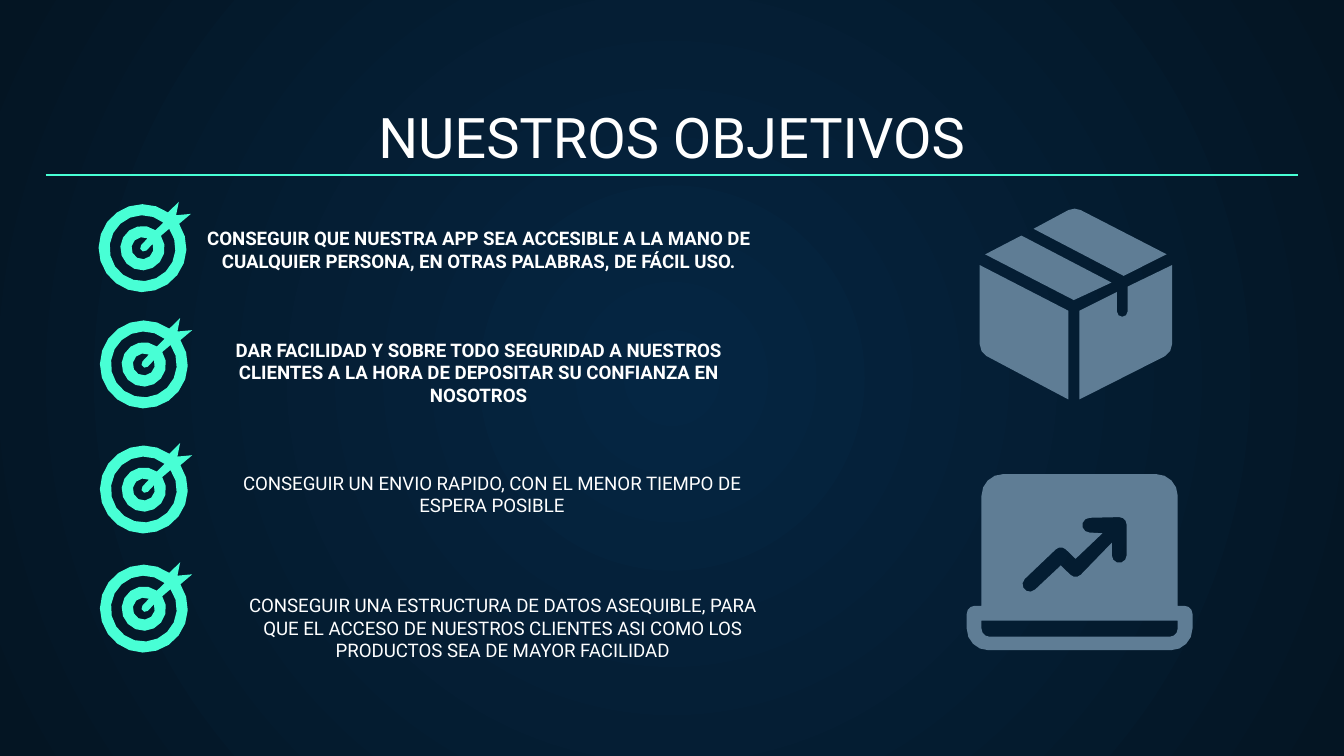
import math

import pptx
import pptx.dml.color
import pptx.enum.shapes
import pptx.enum.text
import pptx.oxml
import pptx.oxml.ns
import pptx.util

Pt = pptx.util.Pt
RGBColor = pptx.dml.color.RGBColor
Align = pptx.enum.text.PP_ALIGN
Anchor = pptx.enum.text.MSO_ANCHOR

NAVY = RGBColor(0x05, 0x26, 0x43)
MIDNIGHT = RGBColor(0x04, 0x15, 0x23)
MINT = RGBColor(0x48, 0xFF, 0xD5)
STEEL = RGBColor(0x5F, 0x7D, 0x95)
WHITE = RGBColor(0xFF, 0xFF, 0xFF)

GRID = 0.72  # points per unit of the icon outlines
FLATNESS = 0.4  # largest gap between an arc and its chords, in units
DRAWING_NS = pptx.oxml.ns.nsdecls("a")


def arc(cx, cy, radius, start, end):
    """Points along an arc; degrees run clockwise from the right."""
    widest = 2 * math.degrees(math.acos(1 - FLATNESS / radius))
    steps = math.ceil(abs(end - start) / widest)
    angles = [math.radians(start + (end - start) * i / steps) for i in range(steps + 1)]
    return [(cx + radius * math.cos(a), cy + radius * math.sin(a)) for a in angles]


# Target with a dart: outer rim, ring gap, hub
TARGET = [
    arc(33, 34.5, 32.7, -54.5, -393.6) + [(69, 9), (58, 10), (60, 0)],
    arc(33, 34.5, 24.5, -51, -396) + arc(33, 34.5, 16.5, -394, -54),
    arc(33, 34.5, 8.2, -63, -383) + arc(34, 34.2, 2.8, 45, 225),
]

# Parcel: left flap, right side, lid, left side
PARCEL = [
    [(31, 20), (6, 33), (4, 34), (70, 68), (98, 55)],
    [(143, 42), (110, 58)] + arc(106, 76.5, 4, 0, 180)
    + [(102, 62), (74, 76), (74, 142)] + arc(133, 101, 10, 60, 0),
    arc(70.5, 10, 10, -63, -117) + [(40, 15), (107, 50), (139, 34)],
    [(0, 42)] + arc(10, 101, 10, 180, 120) + [(66, 142), (66, 76)],
]

# Laptop: body, slot in the base, rising arrow
LAPTOP = [
    arc(27, 16, 16, 180, 270) + arc(141, 16, 16, 270, 360) + [(157, 98)]
    + arc(162, 104, 6, 270, 360) + arc(152, 115, 16, 0, 90)
    + arc(16, 115, 16, 90, 180) + arc(6, 104, 6, 180, 270) + [(11, 98)],
    [(11, 109), (157, 109)] + arc(151, 115, 6, 0, 90) + arc(17, 115, 6, 90, 180),
    arc(113.5, 37.5, 5.5, 270, 360) + arc(113.5, 60.5, 5.5, 0, 180) + [(108, 51)]
    + arc(81, 71, 5.5, 45, 135) + [(70, 68)] + arc(47, 82, 5.5, 45, 225)
    + arc(70, 60, 5.5, 225, 315) + [(81, 63), (101, 44)]
    + arc(91.5, 38, 5.5, 90, 270),
]

# Each goal: text, bold, text position, icon position
GOALS = [
    ("CONSEGUIR QUE NUESTRA APP SEA ACCESIBLE A LA MANO DE CUALQUIER PERSONA, "
     "EN OTRAS PALABRAS, DE FÁCIL USO.", True, (103.7, 114.5), (52.6, 108.1)),
    ("DAR FACILIDAD Y SOBRE TODO SEGURIDAD A NUESTROS CLIENTES A LA HORA DE "
     "DEPOSITAR SU CONFIANZA EN NOSOTROS", True, (103.7, 174.3), (53.3, 170.4)),
    ("CONSEGUIR UN ENVIO RAPIDO, CON EL MENOR TIEMPO DE ESPERA POSIBLE",
     False, (110.9, 245.5), (53.3, 237.4)),
    ("CONSEGUIR UNA ESTRUCTURA DE DATOS ASEQUIBLE, PARA QUE EL ACCESO DE NUESTROS "
     "CLIENTES ASI COMO LOS PRODUCTOS SEA DE MAYOR FACILIDAD",
     False, (116.6, 311), (53.3, 301.2)),
]


class Deck:
    font = "Roboto"
    inset = Pt(7.2)

    def __init__(self, width, height):
        self.presentation = pptx.Presentation()
        self.presentation.slide_width = Pt(width)
        self.presentation.slide_height = Pt(height)
        self.slide = self.presentation.slides.add_slide(self.presentation.slide_layouts[6])

    def radial_background(self, center, edge):
        fill = self.slide.background.fill
        fill.gradient()
        for stop, color, position in zip(fill.gradient_stops, (center, edge), (0, 1)):
            stop.color.rgb = color
            stop.position = position
        linear = self.slide.element.find(".//" + pptx.oxml.ns.qn("a:lin"))
        circle = pptx.oxml.parse_xml(
            f'<a:path {DRAWING_NS} path="circle">'
            '<a:fillToRect l="50000" t="50000" r="50000" b="50000"/></a:path>')
        linear.getparent().replace(linear, circle)

    def text(self, content, left, top, width, height, *, size=10, bold=False,
             color=WHITE, align=Align.CENTER, anchor=Anchor.TOP):
        frame = self.slide.shapes.add_textbox(
            Pt(left), Pt(top), Pt(width), Pt(height)).text_frame
        frame.word_wrap = True
        frame.vertical_anchor = anchor
        frame.margin_left = frame.margin_right = self.inset
        frame.margin_top = frame.margin_bottom = self.inset
        paragraph = frame.paragraphs[0]
        paragraph.alignment = align
        run = paragraph.add_run()
        run.text = content
        run.font.name = self.font
        run.font.size = Pt(size)
        run.font.bold = bold
        run.font.color.rgb = color

    def rule(self, x1, y1, x2, y2, color, weight):
        connector = self.slide.shapes.add_connector(
            pptx.enum.shapes.MSO_CONNECTOR.STRAIGHT, Pt(x1), Pt(y1), Pt(x2), Pt(y2))
        connector.line.color.rgb = color
        connector.line.width = Pt(weight)
        connector.element.spPr.append(pptx.oxml.parse_xml(f"<a:effectLst {DRAWING_NS}/>"))

    def outline(self, contours, left, top, color, shapes=None):
        """One filled shape; inner contours cut holes."""
        builder = None
        for contour in contours:
            (x, y), *rest = [(Pt(left + x * GRID), Pt(top + y * GRID)) for x, y in contour]
            if builder is None:
                builder = (shapes or self.slide.shapes).build_freeform(x, y)
            else:
                builder.move_to(x, y)
            builder.add_line_segments(rest, close=True)
        icon = builder.convert_to_shape()
        icon.shadow.inherit = False
        icon.fill.solid()
        icon.fill.fore_color.rgb = color
        icon.line.fill.background()

    def outline_group(self, panels, left, top, color):
        # An empty shape collection is falsy, so the first panel needs the explicit group
        group = self.slide.shapes.add_group_shape()
        for panel in panels:
            self.outline([panel], left, top, color, group.shapes)


def main():
    deck = Deck(720, 405)
    deck.radial_background(NAVY, MIDNIGHT)

    # Heading
    deck.text("NUESTROS OBJETIVOS", 24.5, 50.4, 671, 47.5, size=30, anchor=Anchor.BOTTOM)
    deck.rule(24.5, 93.75, 695.5, 93.75, MINT, 0.75)

    # Goals
    for goal, bold, text_at, target_at in GOALS:
        deck.outline(TARGET, *target_at, MINT)
        deck.text(goal, *text_at, 305.3, 39.6, bold=bold)

    # Illustrations
    deck.outline_group(PARCEL, 524.9, 111.8, STEEL)
    deck.outline(LAPTOP, 517.9, 254, STEEL)

    deck.presentation.save("out.pptx")


if __name__ == "__main__":
    main()
